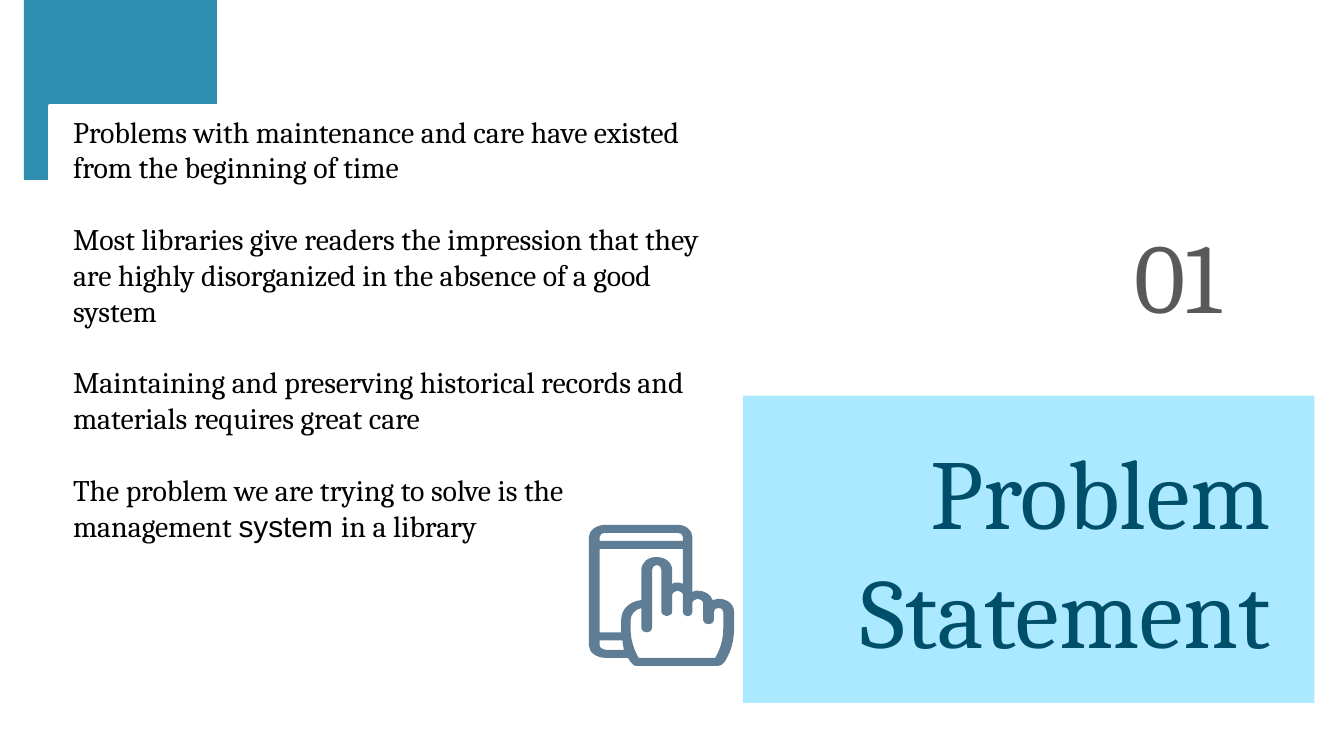
from pptx import Presentation
from pptx.dml.color import RGBColor
from pptx.enum.shapes import MSO_SHAPE
from pptx.enum.text import MSO_ANCHOR, MSO_AUTO_SIZE, PP_ALIGN
from pptx.util import Cm, Pt
from lxml import etree

RECTANGLE = MSO_SHAPE.RECTANGLE
TOP, MIDDLE = MSO_ANCHOR.TOP, MSO_ANCHOR.MIDDLE
LEFT, CENTER, RIGHT = PP_ALIGN.LEFT, PP_ALIGN.CENTER, PP_ALIGN.RIGHT
NO_AUTOFIT = MSO_AUTO_SIZE.NONE

WHITE = RGBColor(0xFF, 0xFF, 0xFF)
BLACK = RGBColor(0, 0, 0)
SKY = RGBColor(0xAA, 0xE9, 0xFF)
TEAL = RGBColor(0x30, 0x8F, 0xB1)
NAVY = RGBColor(0x00, 0x4F, 0x6A)
GRAY = RGBColor(0x59, 0x59, 0x59)
STEEL = RGBColor(0x5F, 0x7D, 0x95)

SERIF, SANS = "Cambria", "Arial"
DRAWING_NS = "{http://schemas.openxmlformats.org/drawingml/2006/main}"

# Each paragraph is a list of (text, font) runs
PROBLEMS = [
    [("Problems with maintenance and care have existed from the beginning of time", SERIF)],
    [("Most libraries give readers the impression that they are highly "
      "disorganized in the absence of a good system", SERIF)],
    [("Maintaining and preserving historical records and materials requires great care", SERIF)],
    [("The problem we are trying to solve is the management ", SERIF),
     ("system ", SANS), ("in a library", SERIF)],
]

# Icon contours: pairs are corners, sextets are Bezier curves
ICON_UNIT = Cm(0.0254)
SCREEN_TOP = [(66, 6), (68, 6, 70, 7, 70, 9), (70, 12), (8, 12), (8, 9), (8, 7, 10, 6, 12, 6)]
SCREEN = [
    (70, 18), (70, 44), (68, 43, 67, 43, 66, 43), (64, 43, 63, 43, 62, 44),
    (62, 34), (62, 28, 57, 24, 50, 24), (44, 24, 39, 28, 39, 34), (39, 56),
    (30, 57, 24, 63, 24, 71), (24, 77), (24, 78, 24, 79, 24, 80), (8, 80), (8, 18),
]
SCREEN_BOTTOM = [(25, 86), (25, 89, 26, 91, 26, 93), (12, 93), (10, 93, 8, 91, 8, 90), (8, 86)]
HAND = [
    (50, 30), (53, 30, 54, 32, 54, 34), (54, 65), (54, 66, 56, 68, 58, 68),
    (60, 68, 62, 66, 62, 65), (62, 52), (62, 51, 64, 49, 66, 49),
    (68, 49, 70, 51, 70, 52), (70, 65), (70, 66, 71, 68, 73, 68),
    (76, 68, 77, 66, 77, 65), (77, 58), (77, 57, 79, 55, 81, 55),
    (83, 55, 85, 57, 85, 58), (85, 71), (85, 73, 87, 74, 89, 74),
    (91, 74, 93, 73, 93, 71), (93, 65), (93, 63, 94, 62, 96, 62),
    (99, 62, 100, 63, 100, 65), (100, 77), (100, 85, 98, 92, 94, 99), (37, 99),
    (33, 92, 31, 85, 31, 77), (31, 71), (31, 67, 34, 63, 39, 62), (39, 77),
    (39, 79, 41, 80, 43, 80), (45, 80, 47, 79, 47, 77), (47, 34), (47, 32, 48, 30, 50, 30),
]
OUTLINE = [
    (12, 0), (6, 0, 0, 4, 0, 9), (0, 90), (0, 95, 6, 99, 12, 99), (29, 99),
    (30, 100, 30, 101, 31, 102), (32, 103), (32, 104, 34, 105, 35, 105), (96, 105),
    (98, 105, 99, 104, 100, 103), (101, 102), (106, 94, 108, 86, 108, 77), (108, 65),
    (108, 59, 103, 55, 96, 55), (95, 55, 94, 56, 92, 56), (91, 52, 86, 49, 81, 49),
    (80, 49, 78, 49, 77, 50), (77, 9), (77, 4, 72, 0, 66, 0),
]
TOUCH_ICON = [SCREEN_TOP, SCREEN, SCREEN_BOTTOM, HAND, OUTLINE]


def add_block(slide, left, top, width, height, color, border=None):
    block = slide.shapes.add_shape(RECTANGLE, Cm(left), Cm(top), Cm(width), Cm(height))
    block.shadow.inherit = False
    block.fill.solid()
    block.fill.fore_color.rgb = color
    if border:
        block.line.color.rgb = color
        block.line.width = Pt(border)
    else:
        block.line.fill.background()
    return block


def place_on_top(placeholder, left, top, width, height):
    """Position a placeholder and bring it in front of earlier shapes."""
    placeholder.left, placeholder.top = Cm(left), Cm(top)
    placeholder.width, placeholder.height = Cm(width), Cm(height)
    tree = placeholder.element.getparent()
    tree.append(placeholder.element)


def write_text(shape, paragraphs, size, color, align=LEFT, anchor=MIDDLE,
               gap=0, margin=0.25):
    frame = shape.text_frame
    frame.word_wrap = True
    frame.auto_size = NO_AUTOFIT
    frame.vertical_anchor = anchor
    frame.margin_left = frame.margin_right = Cm(0.25)
    frame.margin_top = frame.margin_bottom = Cm(margin)
    for index, runs in enumerate(paragraphs):
        paragraph = frame.add_paragraph() if index else frame.paragraphs[0]
        paragraph.alignment = align
        paragraph.line_spacing = 1.0
        paragraph.space_before = Pt(gap if index else 0)
        paragraph.space_after = Pt(0)
        for text, font in runs:
            run = paragraph.add_run()
            run.text = text
            run.font.name = font
            run.font.size = Pt(size)
            run.font.color.rgb = color


def remove_bullets(shape):
    for paragraph in shape.text_frame.paragraphs:
        properties = paragraph._p.get_or_add_pPr()
        properties.set("marL", "0")
        properties.set("indent", "0")
        etree.SubElement(properties, DRAWING_NS + "buNone")


def bend_segments(freeform, contours):
    """Turn the straight segments that have control points into Bezier curves."""
    segments = [segment for contour in contours for segment in contour[1:]]
    lines = list(freeform.element.iter(DRAWING_NS + "lnTo"))
    for line, segment in zip(lines, segments):
        if len(segment) == 2:
            continue
        curve = etree.Element(DRAWING_NS + "cubicBezTo")
        for x, y in zip(segment[::2], segment[1::2]):
            etree.SubElement(curve, DRAWING_NS + "pt", x=str(x), y=str(y))
        line.getparent().replace(line, curve)


def add_icon(slide, contours, left, top, color):
    builder = slide.shapes.build_freeform(*contours[0][0], scale=ICON_UNIT)
    for index, contour in enumerate(contours):
        if index:
            builder.move_to(*contour[0])
        builder.add_line_segments([segment[-2:] for segment in contour[1:]], close=True)
    icon = builder.convert_to_shape(Cm(left), Cm(top))
    bend_segments(icon, contours)
    icon.shadow.inherit = False
    icon.fill.solid()
    icon.fill.fore_color.rgb = color
    icon.line.fill.background()


def main():
    presentation = Presentation()
    presentation.slide_width, presentation.slide_height = Cm(25.4), Cm(14.29)
    slide = presentation.slides.add_slide(presentation.slide_layouts[1])
    title, problem_list = slide.placeholders

    # Title panel and section number
    add_block(slide, 14.04, 7.48, 10.8, 5.81, SKY)
    place_on_top(title, 15.13, 8.99, 9.14, 2.79)
    write_text(title, [[("Problem Statement", SERIF)]], 53, NAVY, align=RIGHT)
    section_number = add_block(slide, 20.6, 3.51, 3.33, 3.35, WHITE)
    write_text(section_number, [[("01", SERIF)]], 53, GRAY, align=CENTER)

    # Corner accent with the white card over it
    add_block(slide, 0.45, 0, 3.65, 3.4, TEAL)
    add_block(slide, 0.94, 2.01, 12.37, 9.25, WHITE, border=2)

    # Problem list
    place_on_top(problem_list, 1.13, 2.01, 12.37, 10.26)
    write_text(problem_list, PROBLEMS, 16, BLACK, anchor=TOP, gap=19.2, margin=0.13)
    remove_bullets(problem_list)

    # Touch screen icon
    add_icon(slide, TOUCH_ICON, 11.13, 9.92, STEEL)

    presentation.save("out.pptx")


if __name__ == "__main__":
    main()
